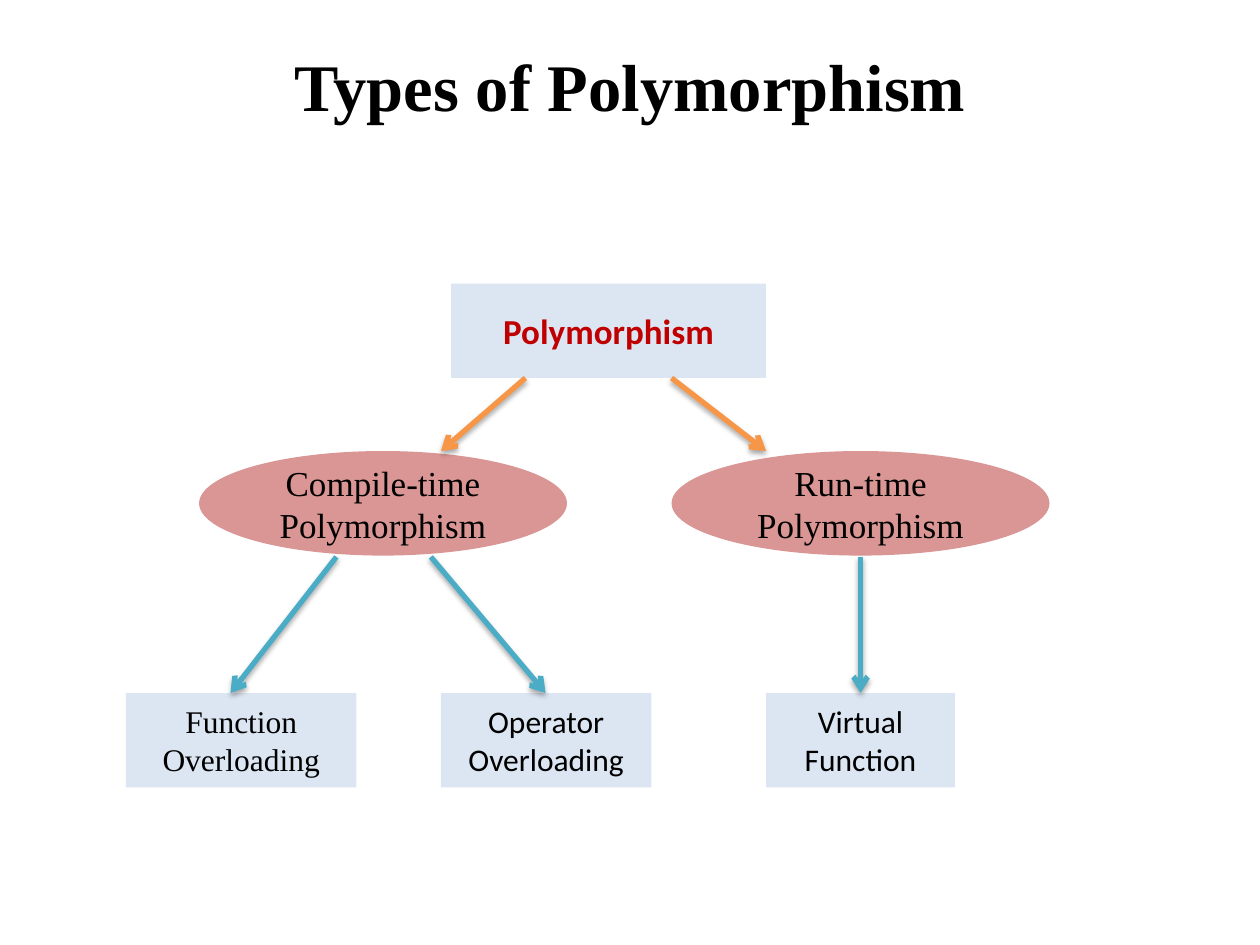
from lxml.etree import SubElement
from pptx import Presentation
from pptx.dml.color import RGBColor
from pptx.enum.shapes import MSO_CONNECTOR, MSO_SHAPE
from pptx.enum.text import MSO_ANCHOR, PP_ALIGN
from pptx.oxml.ns import qn
from pptx.util import Inches, Pt

SERIF, SANS = "Times New Roman", "Calibri"
BLACK, RED, PALE_BLUE, PINK = "000000", "C00000", "DCE6F2", "D99694"
ORANGE, TEAL = "F79646", "4BACC6"
OVAL, RECTANGLE = MSO_SHAPE.OVAL, MSO_SHAPE.RECTANGLE

TITLE = "Types of Polymorphism"
ROOT_STYLE = dict(size=20, font=SANS, color=RED, bold=True)
KIND_STYLE = dict(size=20, font=SERIF)
NODES = [
    ("Compile-time Polymorphism", OVAL, PINK, (1.58, 3.58, 2.92, 0.83), KIND_STYLE),
    ("Polymorphism", RECTANGLE, PALE_BLUE, (3.58, 2.25, 2.5, 0.75), ROOT_STYLE),
    ("Run-time Polymorphism", OVAL, PINK, (5.33, 3.58, 3, 0.83), KIND_STYLE),
    ("Function Overloading", RECTANGLE, PALE_BLUE, (1, 5.5, 1.83, 0.75), dict(size=18, font=SERIF)),
    ("Operator Overloading", RECTANGLE, PALE_BLUE, (3.5, 5.5, 1.67, 0.75), dict(size=18, font=SANS)),
    ("Virtual Function", RECTANGLE, PALE_BLUE, (6.08, 5.5, 1.5, 0.75), dict(size=18, font=SANS)),
]
ARROW_LEVELS = [
    (ORANGE, 3, 3.58, [(5.33, 6.08), (4.17, 3.5)]),
    (TEAL, 4.42, 5.5, [(2.67, 1.83), (3.42, 4.33), (6.83, 6.83)]),
]


def rgb(color):
    return RGBColor.from_string(color)


def write(shape, text, size, font, color=BLACK, bold=False):
    frame = shape.text_frame
    frame.word_wrap = True
    frame.vertical_anchor = MSO_ANCHOR.MIDDLE
    para = frame.paragraphs[0]
    para.alignment = PP_ALIGN.CENTER
    span = para.add_run()
    span.text = text
    span.font.size = Pt(size)
    span.font.name = font
    span.font.bold = bold
    span.font.color.rgb = rgb(color)


def add_node(page, text, preset, fill, place, style):
    box = page.shapes.add_shape(preset, *map(Inches, place))
    box.shadow.inherit = False
    box.fill.solid()
    box.fill.fore_color.rgb = rgb(fill)
    box.line.fill.background()
    write(box, text, **style)


def add_arrow(page, color, start, end):
    arrow = page.shapes.add_connector(MSO_CONNECTOR.STRAIGHT, *map(Inches, start + end))
    arrow.line.color.rgb = rgb(color)
    arrow.line.width = Pt(3)
    SubElement(arrow.line._get_or_add_ln(), qn("a:tailEnd"), type="arrow")
    effects = SubElement(arrow._element.spPr, qn("a:effectLst"))
    shadow = SubElement(effects, qn("a:outerShdw"), blurRad=str(Pt(3.1)),
                        dist=str(Pt(1.8)), dir="5400000", rotWithShape="0")
    shade = SubElement(shadow, qn("a:srgbClr"), val=BLACK)
    SubElement(shade, qn("a:alpha"), val="35000")


def main():
    deck = Presentation()
    deck.slide_width, deck.slide_height = Inches(10), Inches(7.5)
    page = deck.slides.add_slide(deck.slide_layouts[5])
    title = page.shapes.title
    title.left, title.top, title.width, title.height = map(Inches, (0.5, 0.17, 9, 1))
    write(title, TITLE, size=38, font=SERIF, bold=True)
    for node in NODES:
        add_node(page, *node)
    for color, top, bottom, spans in ARROW_LEVELS:
        for start, end in spans:
            add_arrow(page, color, (start, top), (end, bottom))
    deck.save("out.pptx")


if __name__ == "__main__":
    main()
